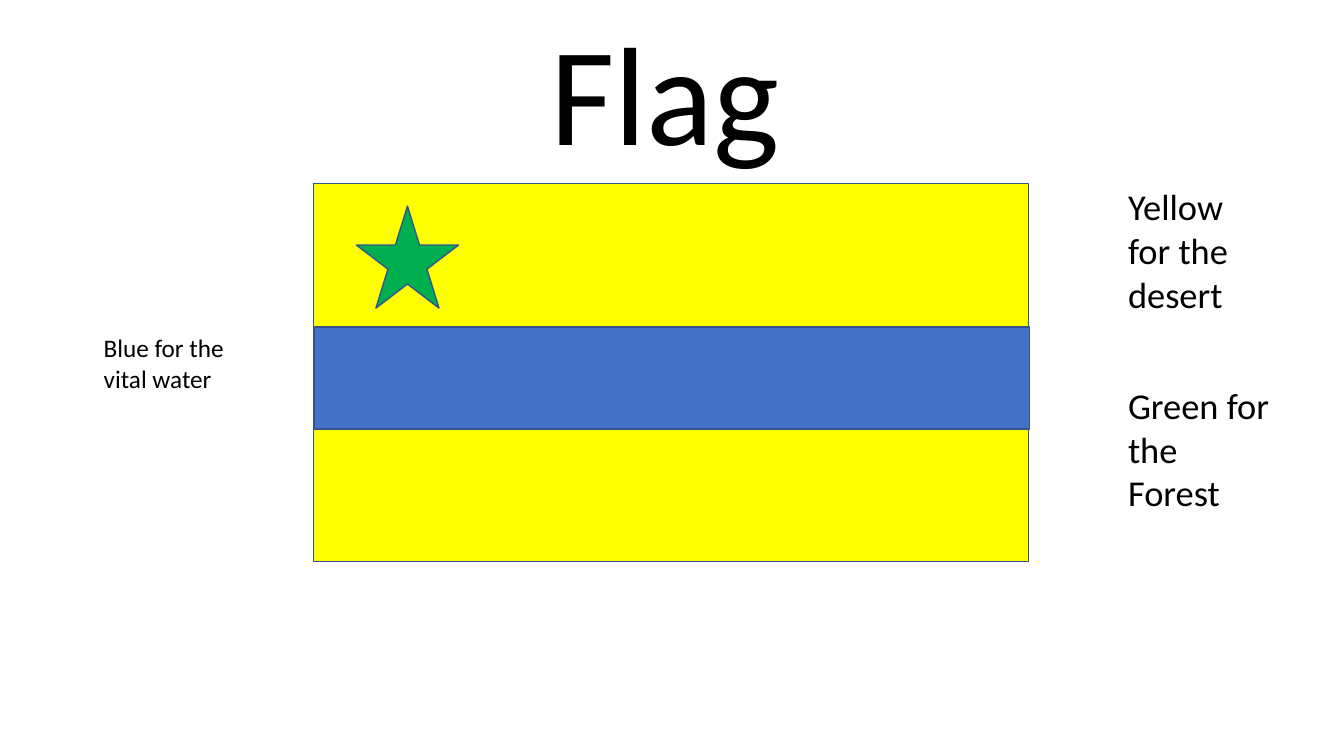
import pptx
import pptx.dml.color
import pptx.enum.shapes
import pptx.enum.text
import pptx.util

Inch = pptx.util.Inches
Kind = pptx.enum.shapes.MSO_SHAPE
Text = pptx.enum.text
WIDE, HIGH = 13.33, 7.5
BLACK, EDGE = "000000", "325491"
YELLOW, BLUE, GREEN = "FFFF00", "4472C4", "00B050"


def color(code):
    return pptx.dml.color.RGBColor.from_string(code)


def write(shape, words, size):
    frame = shape.text_frame
    frame.text = words
    style = {"word_wrap": True, "auto_size": Text.MSO_AUTO_SIZE.NONE,
             "vertical_anchor": Text.MSO_ANCHOR.TOP}
    for name, value in style.items():
        setattr(frame, name, value)
    line = frame.paragraphs[0]
    line.alignment = Text.PP_ALIGN.LEFT
    font = line.runs[0].font
    for name, value in {"name": "Calibri", "size": pptx.util.Pt(size)}.items():
        setattr(font, name, value)
    font.color.rgb = color(BLACK)


def head(slide, box):
    title = slide.shapes.title
    for name, value in zip(("left", "top", "width", "height"), box):
        setattr(title, name, Inch(value))
    write(title, "Flag", 100)


def part(slide, kind, box, fill):
    shape = slide.shapes.add_shape(kind, *map(Inch, box))
    shape.shadow.inherit = False
    shape.fill.solid()
    shape.fill.fore_color.rgb = color(fill)
    shape.line.color.rgb = color(EDGE)
    shape.line.width = pptx.util.Pt(1)


def flag(slide, box):
    left, top, wide, high = box
    part(slide, Kind.RECTANGLE, box, YELLOW)
    band = (left + 0.01, top + 0.38 * high, wide, 0.27 * high)
    part(slide, Kind.RECTANGLE, band, BLUE)
    side = 0.27 * high
    star = (left + 0.06 * wide, top + 0.06 * high, side, side)
    part(slide, Kind.STAR_5_POINT, star, GREEN)


def note(slide, box, words, size):
    write(slide.shapes.add_textbox(*map(Inch, box)), words, size)


def main():
    deck = pptx.Presentation()
    deck.slide_width, deck.slide_height = Inch(WIDE), Inch(HIGH)
    slide = deck.slides.add_slide(deck.slide_layouts[5])
    flag(slide, (3.11, 1.82, 7.09, 3.75))
    head(slide, (5.36, 0, 2.61, 1.78))
    for top, words in ((1.78, "Yellow for the desert"),
                       (3.75, "Green for the Forest")):
        note(slide, (11.09, top, 1.6, 1.41), words, 26)
    note(slide, (0.93, 3.25, 1.58, 0.71), "Blue for the vital water", 18)
    deck.save("out.pptx")


if __name__ == "__main__":
    main()
